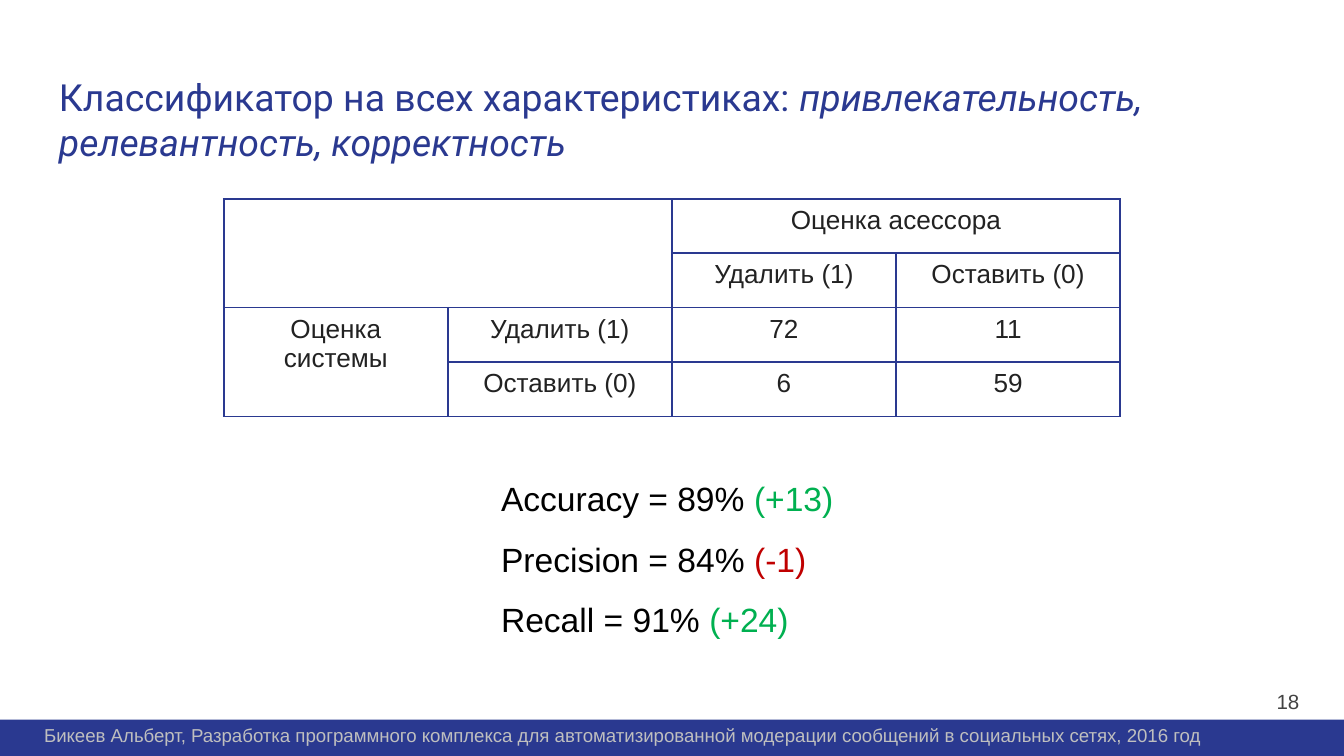
from lxml import etree
from pptx import Presentation
from pptx.dml.color import RGBColor
from pptx.enum import shapes, text
from pptx.oxml import ns
from pptx.util import Inches, Pt

THEME = {
    "navy": "2A3990", "ink": "222222", "black": "000000", "page": "434343",
    "foot": "BFBFBF", "up": "00B050", "down": "C00000",
    "head": "Roboto", "body": "Arial",
    "title": 20, "stat": 18, "cell": 14, "num": 11, "note": 10,
}

WIDE = 10
HIGH = WIDE * 9 / 16
TITLE = ("Классификатор на всех характеристиках: ",
         "привлекательность, релевантность, корректность")
FOOT = ("Бикеев Альберт, Разработка программного комплекса для автоматизированной "
        "модерации сообщений в социальных сетях, 2016 год")
PAGE = "18"
GRID = [
    ["", "", "Оценка асессора", ""],
    ["", "", "Удалить (1)", "Оставить (0)"],
    ["Оценка системы", "Удалить (1)", "72", "11"],
    ["", "Оставить (0)", "6", "59"],
]
SPANS = [((0, 0), (1, 1)), ((0, 2), (0, 3)), ((2, 0), (3, 0))]
STATS = [
    ("Accuracy = 89% ", "(+13)", "up"),
    ("Precision = 84% ", "(-1)", "down"),
    ("Recall = 91% ", "(+24)", "up"),
]


def tint(key):
    return RGBColor.from_string(THEME[key])


def write(para, words, size, color, face="body", italic=False):
    run = para.add_run()
    run.text = words
    look = {"name": THEME[face], "size": Pt(THEME[size]), "italic": italic}
    for key, value in look.items():
        setattr(run.font, key, value)
    run.font.color.rgb = tint(color)


def box(slide, place, **extra):
    frame = slide.shapes.add_textbox(*map(Inches, place)).text_frame
    look = {"word_wrap": True, "vertical_anchor": text.MSO_ANCHOR.TOP, **extra}
    for key, value in look.items():
        setattr(frame, key, value)
    return frame


def pad(size):
    sides = ("left", "top", "right", "bottom")
    return {f"margin_{side}": Inches(size) for side in sides}


def edge(cell):
    props = cell._tc.get_or_add_tcPr()
    for spot, side in enumerate(("lnL", "lnR", "lnT", "lnB")):
        line = etree.Element(ns.qn(f"a:{side}"), w=str(Pt(1)))
        fill = etree.SubElement(line, ns.qn("a:solidFill"))
        etree.SubElement(fill, ns.qn("a:srgbClr"), val=THEME["navy"])
        props.insert(spot, line)


def draw_grid(slide):
    rows, cols = len(GRID), len(GRID[0])
    wide = 6.67
    place = map(Inches, ((WIDE - wide) / 2, 1.48, wide, 1.62))
    table = slide.shapes.add_table(rows, cols, *place).table
    table.first_row = table.horz_banding = False
    for first, last in SPANS:
        table.cell(*first).merge(table.cell(*last))
    for row, words in enumerate(GRID):
        for col, word in enumerate(words):
            cell = table.cell(row, col)
            cell.fill.background()
            edge(cell)
            if word:
                para = cell.text_frame.paragraphs[0]
                para.alignment = text.PP_ALIGN.CENTER
                write(para, word, "cell", "ink")


def main():
    deck = Presentation()
    deck.slide_width, deck.slide_height = Inches(WIDE), Inches(HIGH)
    slide = deck.slides.add_slide(deck.slide_layouts[6])

    title = box(slide, (0.34, 0.45, 9.32, 0.66), **pad(0.1)).paragraphs[0]
    for words, slant in zip(TITLE, (False, True)):
        write(title, words, "title", "navy", "head", slant)

    tall = 0.27
    bar = slide.shapes.add_shape(shapes.MSO_SHAPE.RECTANGLE,
                                 *map(Inches, (-0.01, HIGH - tall, 10.01, tall)))
    bar.shadow.inherit = False
    bar.fill.solid()
    bar.fill.fore_color.rgb = tint("navy")
    bar.line.fill.background()

    page = box(slide, (9.4, 5, 0.6, 0.43), **pad(0.1),
               vertical_anchor=text.MSO_ANCHOR.MIDDLE)
    write(page.paragraphs[0], PAGE, "num", "page")

    grow = {"word_wrap": False, "auto_size": text.MSO_AUTO_SIZE.SHAPE_TO_FIT_TEXT}
    foot = box(slide, (0.23, 5.34, 8.94, 0.27), **grow)
    write(foot.paragraphs[0], FOOT, "note", "foot")

    draw_grid(slide)

    stats = box(slide, (3.63, 3.36, 2.8, 1.46), **grow)
    for spot, (name, change, trend) in enumerate(STATS):
        para = stats.add_paragraph() if spot else stats.paragraphs[0]
        para.line_spacing = 1.5
        write(para, name, "stat", "black")
        write(para, change, "stat", trend)

    deck.save("out.pptx")


if __name__ == "__main__":
    main()
